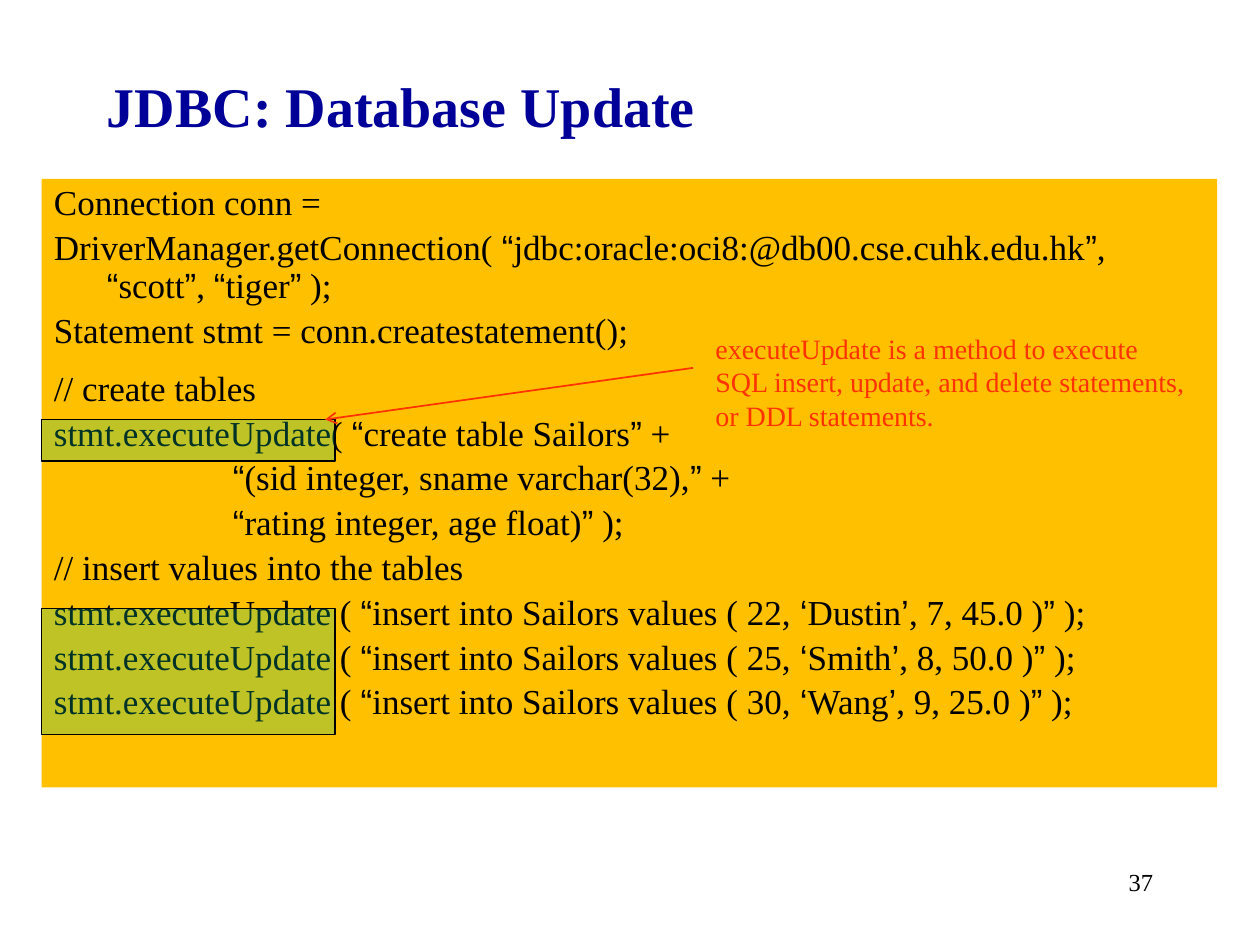
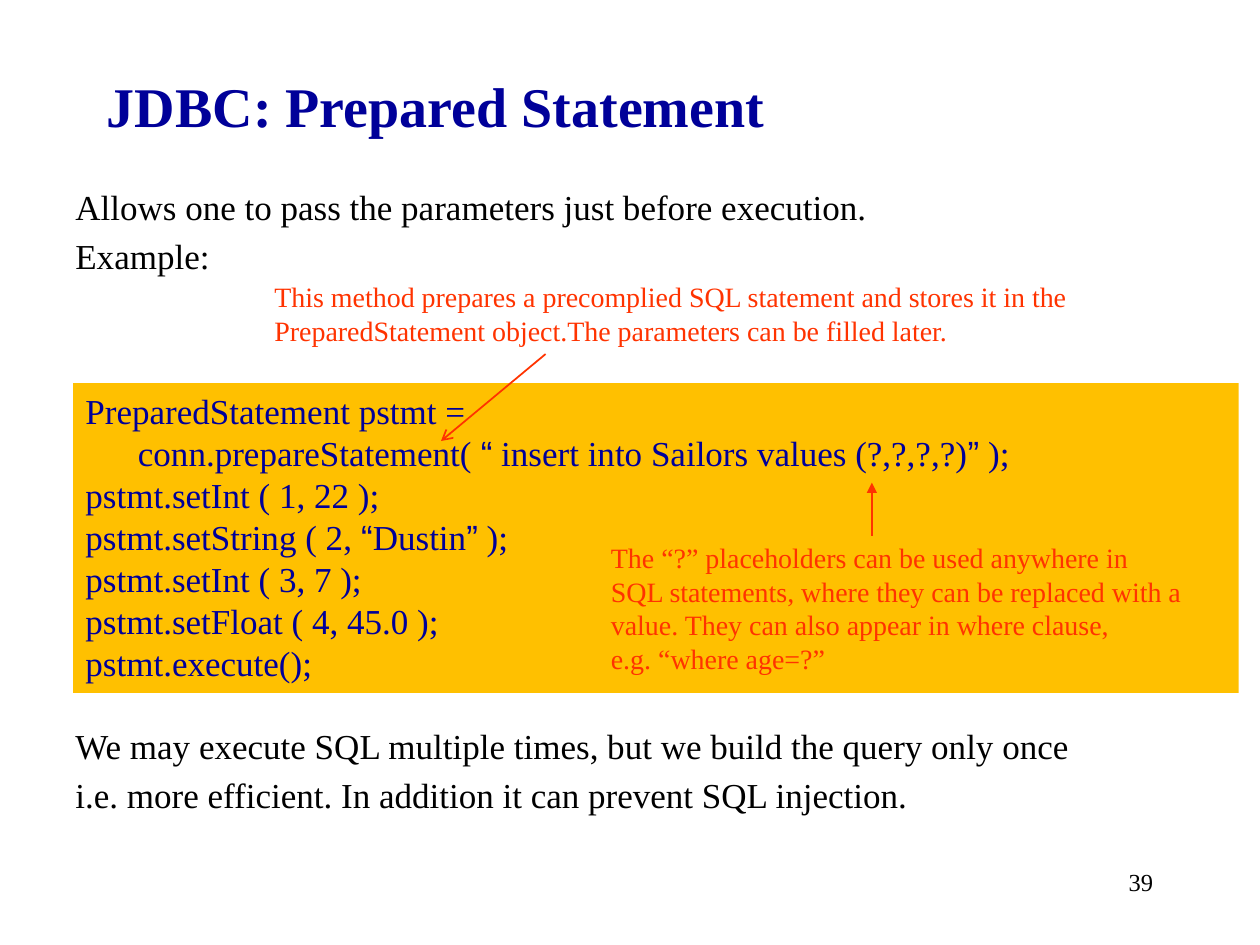
from itertools import groupby

from lxml.etree import SubElement
from pptx import Presentation
from pptx.dml.color import RGBColor
from pptx.enum.shapes import MSO_CONNECTOR, MSO_SHAPE
from pptx.enum.text import MSO_ANCHOR, PP_ALIGN
from pptx.oxml.ns import qn
from pptx.util import Inches, Pt

SERIF, SANS = "Times New Roman", "Arial"
BLACK, NAVY, RED = "000000", "000099", "FF3300"
AMBER, GREEN = "FFC000", "00CC99"
CURLY_QUOTES = "“”‘’"
CODE_SIZE, NOTE_SIZE = 20, 16
LINE_HEIGHT = 1.2
PARAGRAPH_GAP = 4
HANGING = 0.42


def color(value):
    return RGBColor.from_string(value)


# ---- Shared helpers ----
def add_run(paragraph, text, size, text_color, font=SERIF, bold=False):
    run = paragraph.add_run()
    run.text = text
    run.font.name = font
    run.font.size = Pt(size)
    run.font.bold = bold
    run.font.color.rgb = color(text_color)


def add_code_runs(paragraph, text, text_color):
    """Curly quotes are set in the sans font, the rest in the serif font."""
    for quoted, letters in groupby(text, key=lambda letter: letter in CURLY_QUOTES):
        add_run(paragraph, "".join(letters), CODE_SIZE, text_color,
                SANS if quoted else SERIF)


def next_paragraph(frame, index):
    return frame.add_paragraph() if index else frame.paragraphs[0]


def set_indent(paragraph, left, first_line=0):
    properties = paragraph._p.get_or_add_pPr()
    properties.set("marL", str(Inches(left)))
    properties.set("indent", str(Inches(first_line)))


def add_text_box(slide, box):
    frame = slide.shapes.add_textbox(*map(Inches, box)).text_frame
    frame.word_wrap = True
    return frame


def add_rectangle(slide, box, fill):
    shape = slide.shapes.add_shape(MSO_SHAPE.RECTANGLE, *map(Inches, box))
    shape.shadow.inherit = False
    shape.fill.solid()
    shape.fill.fore_color.rgb = color(fill)
    shape.line.fill.background()
    return shape


# ---- Parts of a slide ----
def add_title(slide, text):
    frame = add_text_box(slide, (0.75, 0.42, 8.5, 0.83))
    frame.vertical_anchor = MSO_ANCHOR.MIDDLE
    add_run(frame.paragraphs[0], text, 32, NAVY, bold=True)


def add_page_number(slide, number):
    paragraph = add_text_box(slide, (7.17, 6.83, 2.08, 0.5)).paragraphs[0]
    paragraph.alignment = PP_ALIGN.RIGHT
    add_run(paragraph, str(number), 14, BLACK)


def add_code_panel(slide, box):
    frame = add_rectangle(slide, box, AMBER).text_frame
    frame.word_wrap = True
    frame.vertical_anchor = MSO_ANCHOR.TOP
    return frame


def fill_lines(frame, lines, text_color, line_height=LINE_HEIGHT, gap=0,
               hanging=0, wide_gaps=None, deep_indents=None):
    """wide_gaps and deep_indents override single lines, keyed by line index."""
    for index, line in enumerate(lines):
        paragraph = next_paragraph(frame, index)
        paragraph.alignment = PP_ALIGN.LEFT
        paragraph.line_spacing = Pt(CODE_SIZE * line_height)
        if index:
            paragraph.space_before = Pt((wide_gaps or {}).get(index, gap))
        if index in (deep_indents or {}):
            set_indent(paragraph, deep_indents[index])
        elif hanging:
            set_indent(paragraph, hanging, -hanging)
        add_code_runs(paragraph, line, text_color)


def add_note(slide, box, lines):
    frame = add_text_box(slide, box)
    for index, line in enumerate(lines):
        paragraph = next_paragraph(frame, index)
        paragraph.line_spacing = Pt(NOTE_SIZE * LINE_HEIGHT)
        add_run(paragraph, line, NOTE_SIZE, RED)


def add_arrow(slide, start, end, head="arrow"):
    connector = slide.shapes.add_connector(
        MSO_CONNECTOR.STRAIGHT, *map(Inches, start + end))
    connector.line.color.rgb = color(RED)
    connector.line.width = Pt(1)
    SubElement(connector.line._get_or_add_ln(), qn("a:tailEnd"), type=head)
    SubElement(connector._element.spPr, qn("a:effectLst"))


def add_highlight(slide, box):
    shape = add_rectangle(slide, box, GREEN)
    fill_color = shape._element.spPr.find(qn("a:solidFill"))[0]
    SubElement(fill_color, qn("a:alpha"), val="25000")
    shape.line.color.rgb = color(BLACK)
    shape.line.width = Pt(0.75)


# ---- Slides ----
def build_update_slide(slide):
    add_page_number(slide, 37)
    left, top = 0.33, 1.42
    rows = [(22, "Dustin", 7, "45.0"), (25, "Smith", 8, "50.0"), (30, "Wang", 9, "25.0")]
    lines = [
        "Connection conn =",
        "DriverManager.getConnection( “jdbc:oracle:oci8:@db00.cse.cuhk.edu.hk”, “scott”, “tiger” );",
        "Statement stmt = conn.createstatement();",
        "// create tables",
        "stmt.executeUpdate( “create table Sailors” +",
        "“(sid integer, sname varchar(32),” +",
        "“rating integer, age float)” );",
        "// insert values into the tables",
    ] + [
        f"stmt.executeUpdate ( “insert into Sailors values ( {sid}, ‘{name}’, {rating}, {age} )” );"
        for sid, name, rating, age in rows
    ]
    frame = add_code_panel(slide, (left, top, 9.33, 4.83))
    fill_lines(frame, lines, BLACK, LINE_HEIGHT * 0.9, PARAGRAPH_GAP, HANGING,
               wide_gaps={3: 11.6}, deep_indents={5: 1.42, 6: 1.42})
    add_title(slide, "JDBC: Database Update")

    # Highlighted calls and their explanation
    for offset, height in ((1.91, 0.33), (3.41, 1)):
        add_highlight(slide, (left, top + offset, 2.33, height))
    add_note(slide, (5.58, 2.58, 3.98, 0.91), [
        "executeUpdate is a method to execute",
        "SQL insert, update, and delete statements,",
        "or DDL statements.",
    ])
    add_arrow(slide, (5.5, 2.92), (2.58, 3.33))


def build_prepared_slide(slide):
    # Body text, with room left for the code panel
    fill_lines(add_text_box(slide, (0.5, 1.42, 8.83, 5.33)), [
        "Allows one to pass the parameters just before execution.",
        "Example:",
        "We may execute SQL multiple times, but we build the query only once",
        "i.e. more efficient. In addition it can prevent SQL injection.",
    ], BLACK, gap=PARAGRAPH_GAP, hanging=HANGING, wide_gaps={2: 256})

    fill_lines(add_code_panel(slide, (0.58, 3.04, 9.25, 2.46)), [
        "PreparedStatement pstmt =",
        "      conn.prepareStatement( “ insert into Sailors values (?,?,?,?)” );",
        "pstmt.setInt ( 1, 22 );",
        "pstmt.setString ( 2, “Dustin” );",
        "pstmt.setInt ( 3, 7 );",
        "pstmt.setFloat ( 4, 45.0 );",
        "pstmt.execute();",
    ], NAVY)
    add_page_number(slide, 39)

    # Explanations with arrows
    add_note(slide, (4.75, 4.24, 4.85, 1.18), [
        "The “?” placeholders can be used anywhere in",
        "SQL statements, where they can be replaced with a",
        "value. They can also appear in where clause,",
        "e.g. “where age=?”",
    ])
    add_arrow(slide, (6.92, 4.25), (6.92, 3.83), "triangle")
    add_title(slide, "JDBC: Prepared Statement")
    add_note(slide, (2.08, 2.17, 6.64, 0.64), [
        "This method prepares a precomplied SQL statement and stores it in the",
        "PreparedStatement object.The parameters can be filled later.",
    ])
    add_arrow(slide, (4.33, 2.81), (3.5, 3.5))


def main():
    presentation = Presentation()
    presentation.slide_width = Inches(10)
    presentation.slide_height = Inches(7.5)
    for build in (build_update_slide, build_prepared_slide):
        build(presentation.slides.add_slide(presentation.slide_layouts[6]))
    presentation.save("out.pptx")


if __name__ == "__main__":
    main()
